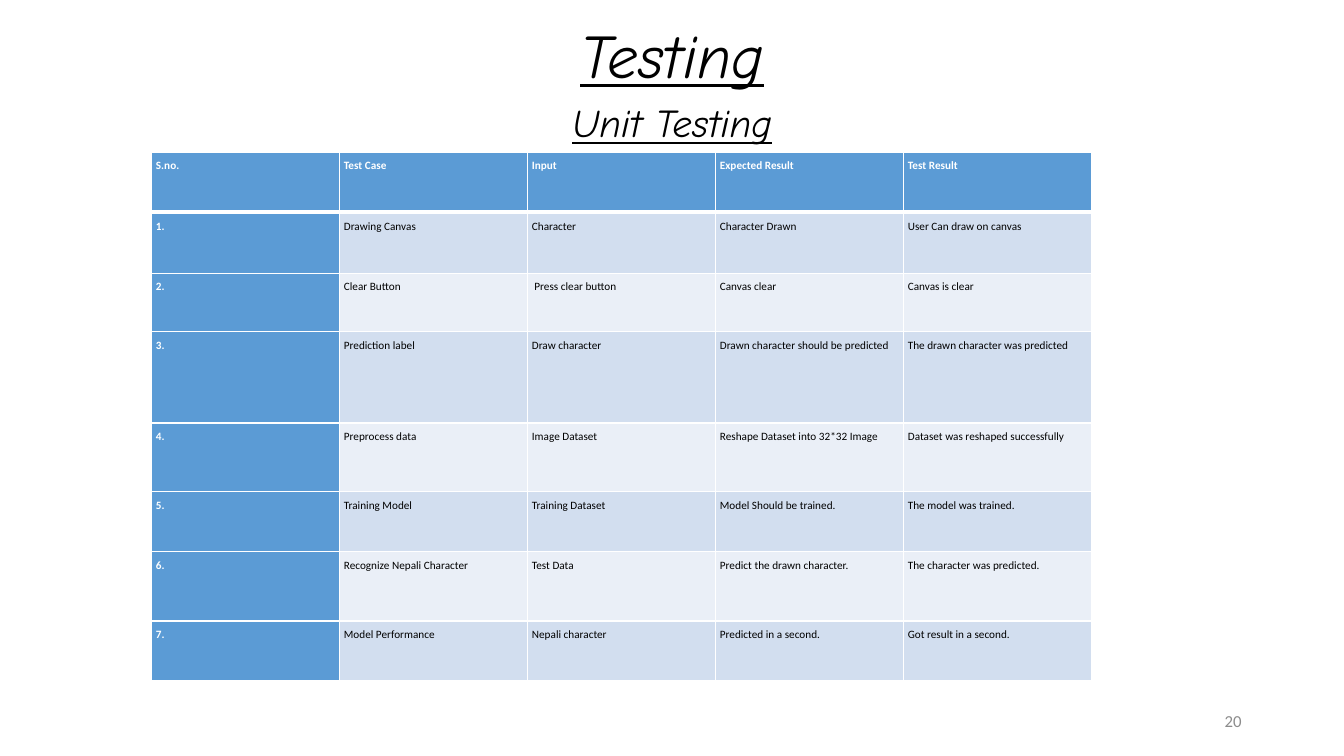
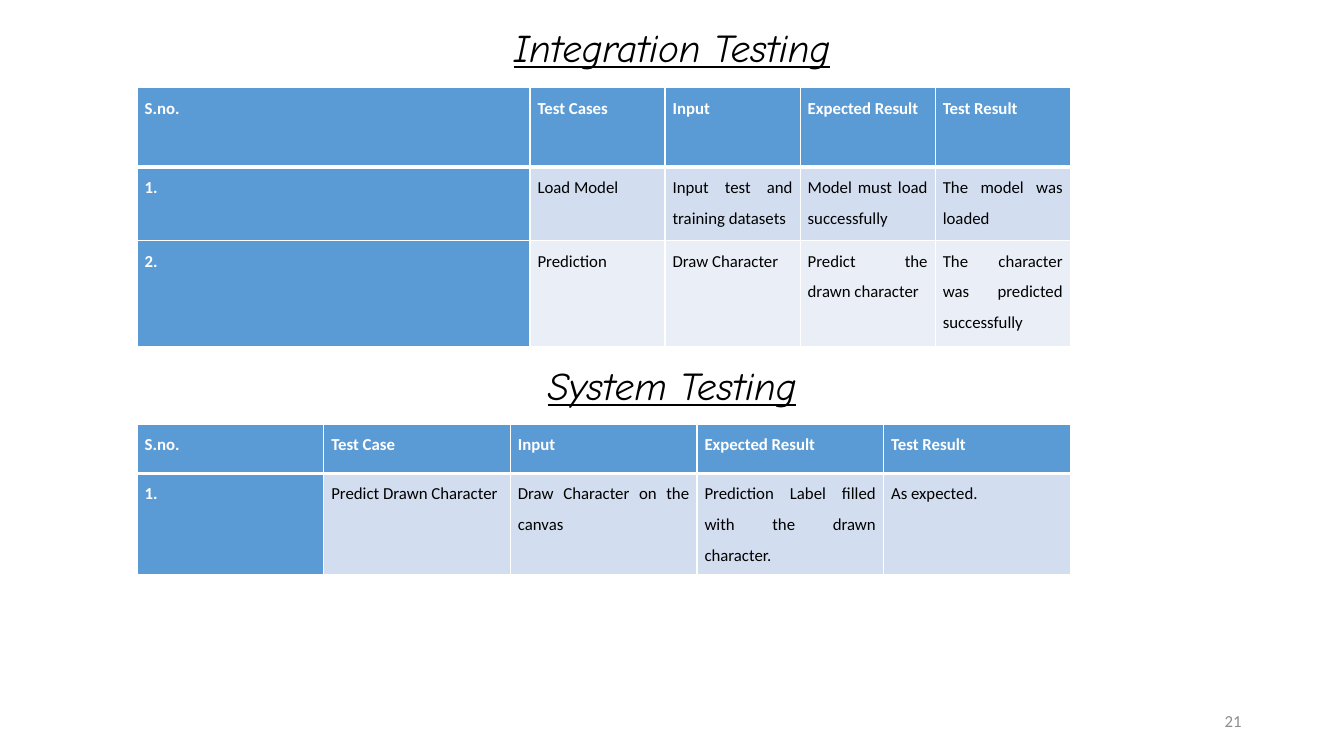
"""Build two slides of software test tables."""
from lxml import etree
from pptx import Presentation
from pptx.dml.color import RGBColor
from pptx.enum.text import MSO_ANCHOR, PP_ALIGN
from pptx.oxml.ns import qn
from pptx.util import Pt

COLOURS = {
    "ink": "000000",
    "paper": "FFFFFF",
    "header": "5B9BD5",
    "odd row": "D2DEEF",
    "even row": "EAEFF7",
    "page number": "8C8C8C",
}
HEADING = {"font": "Comic Neue", "align": PP_ALIGN.CENTER, "spacing": 0.9,
           "italic": True, "underline": True}


def write(frame, wording, size, colour="ink", font="Calibri", align=PP_ALIGN.JUSTIFY,
          spacing=1.0, after=0, bold=False, italic=False, underline=False):
    """Write one styled paragraph into a text frame."""
    frame.word_wrap = True
    para = frame.paragraphs[0]
    para.alignment = align
    para.line_spacing = spacing
    para.space_after = Pt(after)
    span = para.add_run()
    span.text = wording
    span.font.name = font
    span.font.size = Pt(size)
    span.font.bold = bold
    span.font.italic = italic
    span.font.underline = underline
    span.font.color.rgb = RGBColor.from_string(COLOURS[colour])


def add_test_table(page, left, top, widths, heights, rows, size, inset):
    """Add a table with a coloured header row and first column."""
    height, width = sum(heights), sum(widths)
    table = page.shapes.add_table(len(rows), len(widths), Pt(left), Pt(top),
                                  Pt(width), Pt(height)).table
    for column, column_width in zip(table.columns, widths):
        column.width = Pt(column_width)
    for r, (row, row_height) in enumerate(zip(rows, heights)):
        table.rows[r].height = Pt(row_height)
        for c, wording in enumerate(row):
            cell = table.cell(r, c)
            cell.margin_left = cell.margin_right = Pt(inset)
            cell.margin_top = cell.margin_bottom = Pt(0)
            borders = {"L": 1, "R": 1, "T": 3 if r == 1 else 1, "B": 3 if r == 0 else 1}
            properties = cell._tc.get_or_add_tcPr()
            for side, weight in borders.items():
                line = etree.SubElement(properties, qn(f"a:ln{side}"), w=str(Pt(weight)))
                fill = etree.SubElement(line, qn("a:solidFill"))
                etree.SubElement(fill, qn("a:srgbClr"), val=COLOURS["paper"])
            is_label = r == 0 or c == 0
            shade = "header" if is_label else "odd row" if r % 2 else "even row"
            cell.fill.solid()
            cell.fill.fore_color.rgb = RGBColor.from_string(COLOURS[shade])
            write(cell.text_frame, wording, size, "paper" if is_label else "ink",
                  spacing=1.51, after=6, bold=is_label)


unit_tests = [
    ("S.no.", "Test Case", "Input", "Expected Result", "Test Result"),
    ("1.", "Drawing Canvas", "Character", "Character Drawn", "User Can draw on canvas"),
    ("2.", "Clear Button", " Press clear button", "Canvas clear", "Canvas is clear"),
    ("3.", "Prediction label", "Draw character", "Drawn character should be predicted",
     "The drawn character was predicted"),
    ("4.", "Preprocess data", "Image Dataset", "Reshape Dataset into 32*32 Image",
     "Dataset was reshaped successfully"),
    ("5.", "Training Model", "Training Dataset", "Model Should be trained.",
     "The model was trained."),
    ("6.", "Recognize Nepali Character", "Test Data", "Predict the drawn character.",
     "The character was predicted."),
    ("7.", "Model Performance", "Nepali character", "Predicted in a second.",
     "Got result in a second."),
]
integration_tests = [
    ("S.no.", "Test Cases", "Input", "Expected Result", "Test Result"),
    ("1.", "Load Model", "Input test and training datasets",
     "Model must load successfully", "The model was loaded"),
    ("2.", "Prediction", "Draw Character", "Predict the drawn character",
     "The character was predicted successfully"),
]
system_tests = [
    ("S.no.", "Test Case", "Input", "Expected Result", "Test Result"),
    ("1.", "Predict Drawn Character", "Draw Character on the canvas",
     "Prediction Label filled with the drawn character.", "As expected."),
]

pages = [
    {
        "number": "20",
        "headings": [("Testing", 11.5, 60, 44), ("Unit Testing", 71.3, 36, 28)],
        "tables": [(108, 108.7, [134.3] * 5, [43, 43.5, 41.5, 65.5, 49, 43, 49.5, 42.5],
                    unit_tests, 8, 3.4)],
    },
    {
        "number": "21",
        "headings": [("Integration Testing", 17.3, 36, 28), ("System Testing", 258.7, 36, 28)],
        "tables": [(98, 62.6, [280.6] + [96.5] * 4, [56.8, 52.5, 75.5],
                    integration_tests, 12, 5.4),
                   (98, 303.2, [133.3] * 5, [35, 72], system_tests, 12, 5.4)],
    },
]

deck = Presentation()
deck.slide_width, deck.slide_height = Pt(960), Pt(540)

for content in pages:
    page = deck.slides.add_slide(deck.slide_layouts[6])
    for wording, top, height, size in content["headings"]:
        box = page.shapes.add_textbox(Pt(66), Pt(top), Pt(828), Pt(height))
        box.text_frame.vertical_anchor = MSO_ANCHOR.MIDDLE
        write(box.text_frame, wording, size, **HEADING)
    for table_layout in content["tables"]:
        add_test_table(page, *table_layout)
    box = page.shapes.add_textbox(Pt(678), Pt(500.5), Pt(216), Pt(28.8))
    box.text_frame.vertical_anchor = MSO_ANCHOR.MIDDLE
    write(box.text_frame, content["number"], 12, "page number", align=PP_ALIGN.RIGHT)

deck.save("out.pptx")
